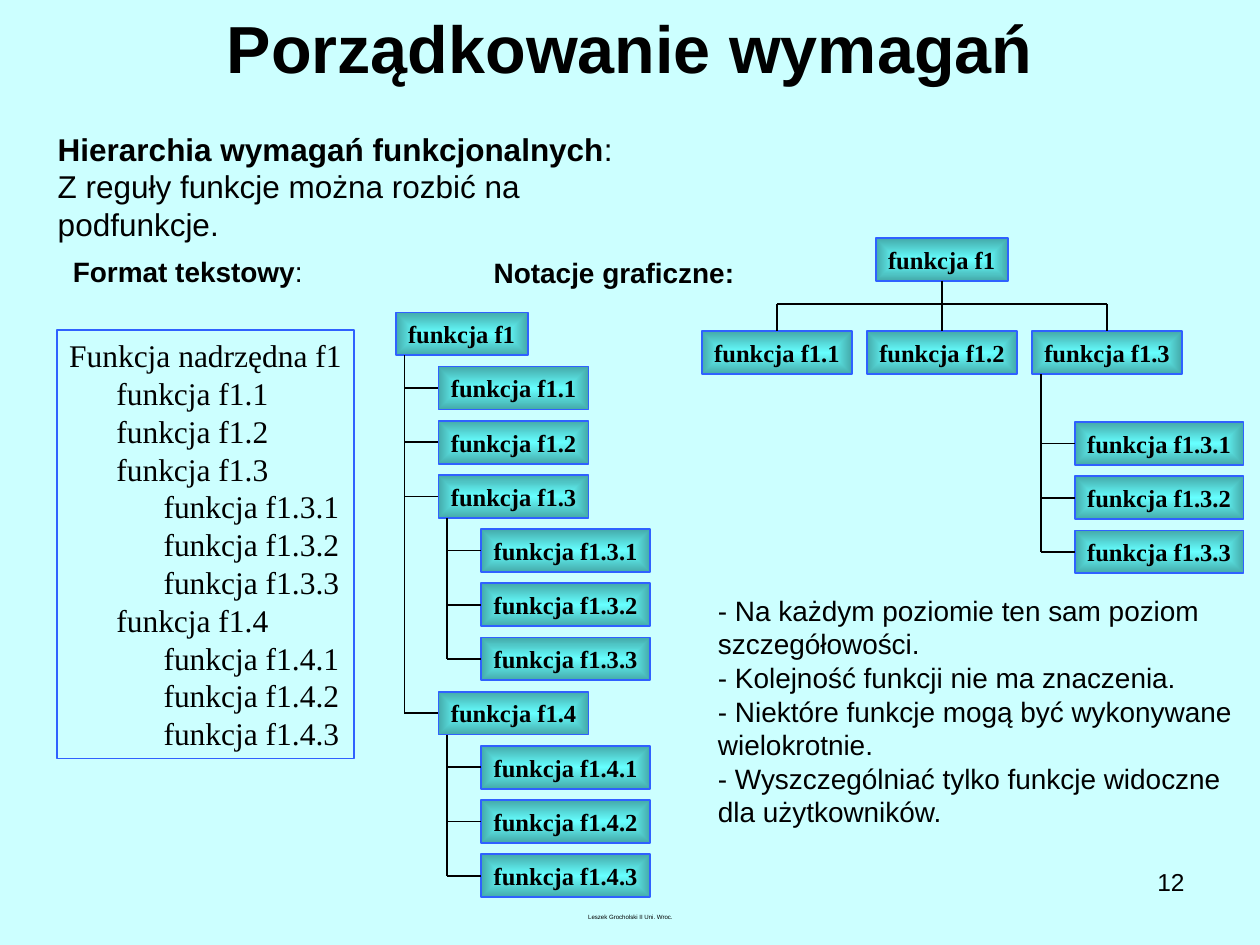
import pptx
import pptx.util
import pptx.dml.color
import pptx.enum.shapes
import pptx.enum.text
import pptx.oxml
import pptx.oxml.ns

Inches = pptx.util.Inches
ALIGN = pptx.enum.text.PP_ALIGN
ANCHOR = pptx.enum.text.MSO_ANCHOR
SHAPE = pptx.enum.shapes.MSO_SHAPE

BLACK, BLUE = "000000", "2F61FF"
NODE_HEIGHT = 0.34
NODE_WIDTHS = [1.05, 1.19, 1.34]
ROW_PITCH = 0.43
LEVEL_INDENT = 0.34
TRUNK_INSET = 0.07

# Each function is a (label, children) pair.
F13 = ("funkcja f1.3", [(f"funkcja f1.3.{i}", []) for i in (1, 2, 3)])
F14 = ("funkcja f1.4", [(f"funkcja f1.4.{i}", []) for i in (1, 2, 3)])
F1 = ("funkcja f1", [("funkcja f1.1", []), ("funkcja f1.2", []), F13, F14])


def color(value):
    return pptx.dml.color.RGBColor.from_string(value)


def write(sp, paragraphs, size=16, font="Arial", bold=False, align=ALIGN.LEFT,
          anchor=ANCHOR.TOP, wrap=False, indents=None):
    """Each paragraph is a string or a list of (text, bold) runs."""
    tf = sp.text_frame
    tf.word_wrap = wrap
    tf.vertical_anchor = anchor
    for i, runs in enumerate(paragraphs):
        p = tf.paragraphs[0] if i == 0 else tf.add_paragraph()
        p.alignment = align
        if indents:
            p._p.get_or_add_pPr().set("marL", str(Inches(indents[i])))
        for text, is_bold in [(runs, bold)] if isinstance(runs, str) else runs:
            r = p.add_run()
            r.text = text
            r.font.size = pptx.util.Pt(size)
            r.font.name = font
            r.font.bold = is_bold
            r.font.color.rgb = color(BLACK)


def text_box(s, box, paragraphs, **fmt):
    write(s.shapes.add_textbox(*map(Inches, box)), paragraphs, **fmt)


def outlined_shape(s, kind, box):
    sp = s.shapes.add_shape(kind, *map(Inches, box))
    sp.shadow.inherit = False
    sp.line.color.rgb = color(BLUE)
    sp.line.width = pptx.util.Pt(1)
    return sp


def fill_from_centre(sp, inner, outer):
    sp.fill.gradient()
    for stop, value in zip(sp.fill.gradient_stops, (inner, outer)):
        stop.color.rgb = color(value)
    grad = sp._element.spPr.find(pptx.oxml.ns.qn("a:gradFill"))
    grad.remove(grad.find(pptx.oxml.ns.qn("a:lin")))
    grad.append(pptx.oxml.parse_xml(
        f'<a:path {pptx.oxml.ns.nsdecls("a")} path="rect">'
        '<a:fillToRect l="50000" t="50000" r="50000" b="50000"/></a:path>'))


def node(s, left, top, label, level):
    sp = outlined_shape(s, SHAPE.ROUNDED_RECTANGLE,
                        (left, top, NODE_WIDTHS[level], NODE_HEIGHT))
    sp.adjustments[0] = 0
    fill_from_centre(sp, "66FFFF", "44AAAA")
    write(sp, [label], size=14, font="Times New Roman", bold=True,
          anchor=ANCHOR.MIDDLE)
    return sp


def line(s, x1, y1, x2, y2):
    c = s.shapes.add_connector(pptx.enum.shapes.MSO_CONNECTOR.STRAIGHT,
                               x1, y1, x2, y2)
    c.line.color.rgb = color(BLACK)
    c.line.width = pptx.util.Pt(1)
    c._element.spPr.append(pptx.oxml.parse_xml(
        f'<a:effectLst {pptx.oxml.ns.nsdecls("a")}/>'))
    return c


def middle(sp):
    return sp.left + sp.width // 2, sp.top + sp.height // 2


def branch(s, parent, children):
    """Draw a trunk below the parent with a branch to each child's left side."""
    x = parent.left + Inches(TRUNK_INSET)
    line(s, x, parent.top + parent.height, x, middle(children[-1])[1])
    for child in children:
        y = middle(child)[1]
        line(s, x, y, child.left, y).end_connect(child, 1)


def indented_tree(s, left, top, function, level=0):
    """Draw one function a row; return its node and the top of the next row."""
    label, subfunctions = function
    parent = node(s, left, top, label, level)
    top += ROW_PITCH
    children = []
    for sub in subfunctions:
        child, top = indented_tree(s, left + LEVEL_INDENT, top, sub, level + 1)
        children.append(child)
    if children:
        branch(s, parent, children)
    return parent, top


def horizontal_tree(s, left, top):
    """Draw f1 over a row of subfunctions, with f1.3 opened downwards."""
    root = node(s, left + 1.38, top, "funkcja f1", 0)
    row_top, step = top + 0.74, 1.31
    row = [node(s, left + i * step, row_top, label, 1)
           for i, (label, _) in enumerate(F1[1][:3])]
    bus_y = Inches(top + 0.52)
    root_x = middle(root)[0]
    line(s, root_x, root.top + root.height, root_x, bus_y).begin_connect(root, 2)
    line(s, middle(row[0])[0], bus_y, middle(row[-1])[0], bus_y)
    for child in row:
        x = middle(child)[0]
        line(s, x, bus_y, x, child.top).end_connect(child, 0)
    leaves = [node(s, left + 2 * step + LEVEL_INDENT,
                   row_top + 0.72 + i * ROW_PITCH, label, 2)
              for i, (label, _) in enumerate(F13[1])]
    branch(s, row[-1], leaves)


def outline(function, level=0):
    yield function[0], level
    for sub in function[1]:
        yield from outline(sub, level + 1)


def text_format(s, box):
    sp = outlined_shape(s, SHAPE.RECTANGLE, box)
    sp.fill.background()
    labels, levels = zip(*outline(F1))
    write(sp, ["Funkcja nadrzędna f1", *labels[1:]], size=18,
          font="Times New Roman", indents=[0.375 * n for n in levels])


def headings(s):
    text_box(s, (0.5, -0.05, 9, 0.85), ["Porządkowanie wymagań"], size=38,
             bold=True, align=ALIGN.CENTER, anchor=ANCHOR.MIDDLE, wrap=True)
    text_box(s, (0.36, 0.98, 5.21, 0.7),
             [[("Hierarchia wymagań funkcjonalnych", True), (":", False)],
              "Z reguły funkcje można rozbić na podfunkcje."], size=18)
    text_box(s, (0.48, 1.97, 2.02, 0.37),
             [[("Format tekstowy", True), (":", False)]])
    text_box(s, (3.82, 1.98, 2.11, 0.37), ["Notacje graficzne:"], bold=True)


def rules(s, box):
    text_box(s, box, [
        "- Na każdym poziomie ten sam poziom szczegółowości.",
        "- Kolejność funkcji nie ma znaczenia.",
        "- Niektóre funkcje mogą być wykonywane wielokrotnie.",
        "- Wyszczególniać tylko funkcje widoczne dla użytkowników.",
    ], wrap=True)


def footer(s):
    text_box(s, (3.42, 7.2, 3.17, 0.15), ["Leszek Grocholski II Uni. Wroc."],
             size=3.5, align=ALIGN.CENTER, wrap=True)
    text_box(s, (7.17, 6.83, 2.33, 0.52), ["12"], size=14, align=ALIGN.RIGHT,
             wrap=True)


def main():
    prs = pptx.Presentation()
    prs.slide_width, prs.slide_height = Inches(10), Inches(7.5)
    s = prs.slides.add_slide(prs.slide_layouts[6])
    s.background.fill.solid()
    s.background.fill.fore_color.rgb = color("CCFFFF")
    headings(s)
    text_format(s, (0.45, 2.62, 2.36, 3.4))
    indented_tree(s, 3.14, 2.48, F1)
    horizontal_tree(s, 5.57, 1.89)
    rules(s, (5.6, 4.66, 4.4, 1.97))
    footer(s)
    prs.save("out.pptx")


if __name__ == "__main__":
    main()
